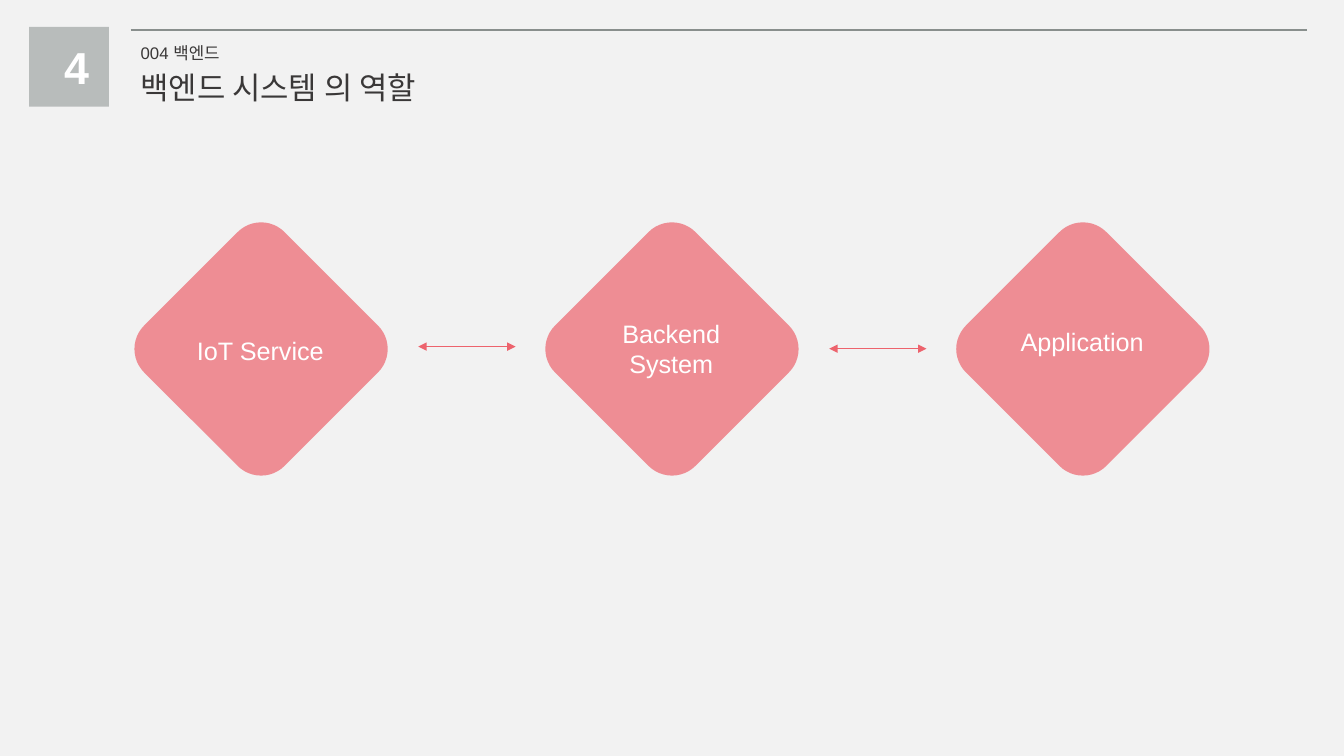
from lxml import etree
from pptx import Presentation
from pptx.dml.color import RGBColor
from pptx.enum.shapes import MSO_CONNECTOR, MSO_SHAPE
from pptx.enum.text import MSO_AUTO_SIZE, PP_ALIGN
from pptx.oxml.ns import qn
from pptx.util import Pt

PAPER, INK, WHITE = "F2F2F2", "3A3838", "FFFFFF"
PINK, GREY, RULE = "ED636D", "B8BCBB", "898F8D"
LABEL_FORMAT = {"size": Pt(18), "color": WHITE}


def color(hex_string):
    return RGBColor.from_string(hex_string)


def add_text(s, box, text, fmt, align=PP_ALIGN.LEFT, wrap=True):
    tf = s.shapes.add_textbox(*map(Pt, box)).text_frame
    tf.word_wrap = wrap
    tf.auto_size = MSO_AUTO_SIZE.SHAPE_TO_FIT_TEXT
    p = tf.paragraphs[0]
    p.alignment = align
    r = p.add_run()
    r.text = text
    r.font.name = "Arial"
    for name, value in fmt.items():
        if name == "color":
            r.font.color.rgb = color(value)
        else:
            setattr(r.font, name, value)


def add_block(s, kind, box, fill):
    sp = s.shapes.add_shape(kind, *map(Pt, box))
    sp.shadow.inherit = False
    sp.fill.solid()
    sp.fill.fore_color.rgb = color(fill)
    sp.line.fill.background()
    return sp


def add_line(s, x1, x2, y, hex_string, width, arrows=False):
    """Draw a level line, with a triangle at both ends if arrows is set."""
    line = s.shapes.add_connector(MSO_CONNECTOR.STRAIGHT, Pt(x1), Pt(y), Pt(x2), Pt(y))
    line.line.color.rgb = color(hex_string)
    line.line.width = Pt(width)
    if arrows:
        ln = line.line._get_or_add_ln()
        for end in ("a:headEnd", "a:tailEnd"):
            etree.SubElement(ln, qn(end), type="triangle")
    etree.SubElement(line._element.spPr, qn("a:effectLst"))


def add_header(s, left, top, width, number, section, title):
    add_line(s, left + 72.6, left + width, top + 2.2, RULE, 1.5)
    add_block(s, MSO_SHAPE.RECTANGLE, (left, top, 57, 57), GREY)
    add_text(s, (left + 18, top + 5.8, 20.2, 46), number,
             {"size": Pt(32), "bold": True, "color": WHITE}, PP_ALIGN.CENTER)
    add_text(s, (left + 72.6, top + 8, 74, 21.8), section,
             {"size": Pt(12), "color": INK}, wrap=False)
    add_text(s, (left + 72.6, top + 26.6, 233, 34), title,
             {"size": Pt(22), "color": INK}, wrap=False)


def add_diamond(s, left, top, side, label, label_dy):
    sp = add_block(s, MSO_SHAPE.ROUNDED_RECTANGLE, (left, top, side, side), PINK)
    sp.adjustments[0] = 0.167
    sp.rotation = 45
    fill_color = sp._element.spPr.find(qn("a:solidFill"))[0]
    etree.SubElement(fill_color, qn("a:alpha"), val="70000")
    add_text(s, (left - 3.1, top + label_dy, 147, 29), label, LABEL_FORMAT, PP_ALIGN.CENTER)


def add_flow(s, left, top, step, side, stages, arrow_dys):
    """Place the stages one step apart, with a two-way arrow in each gap."""
    for i, (label, label_dy) in enumerate(stages):
        add_diamond(s, left + i * step, top, side, label, label_dy)
    for i, dy in enumerate(arrow_dys):
        x = left + i * step + 183.2
        add_line(s, x, x + 69.5, top + dy, PINK, 0.75, arrows=True)


def main():
    prs = Presentation()
    prs.slide_width, prs.slide_height = Pt(960), Pt(540)
    s = prs.slides.add_slide(prs.slide_layouts[6])
    s.background.fill.solid()
    s.background.fill.fore_color.rgb = color(PAPER)
    stages = [("IoT Service", 57.6), ("Backend System", 45.4), ("Application", 51.2)]
    add_flow(s, 115.6, 178.4, 293.5, 141.8, stages, (69.2, 70.7))
    add_header(s, 20.8, 19.2, 912.8, "4", "004 백엔드", "백엔드 시스템 의 역할")
    prs.save("out.pptx")


if __name__ == "__main__":
    main()
